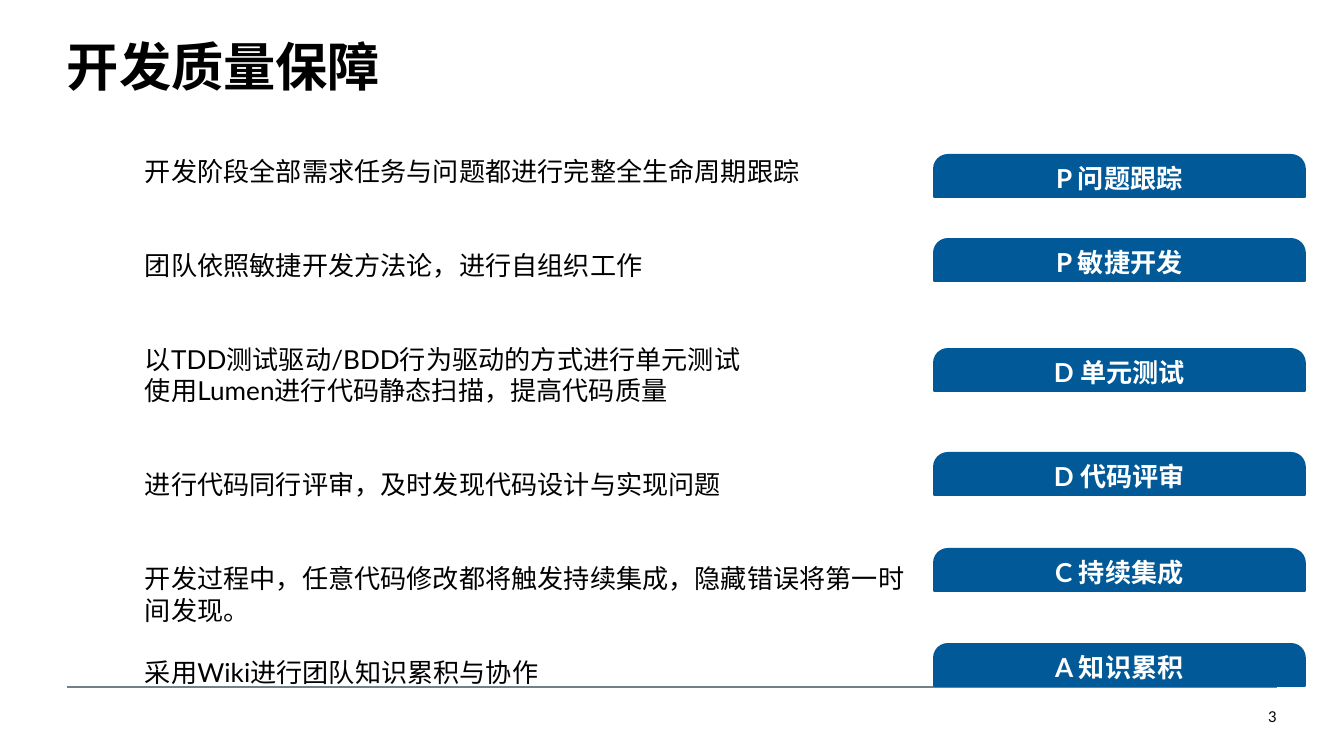
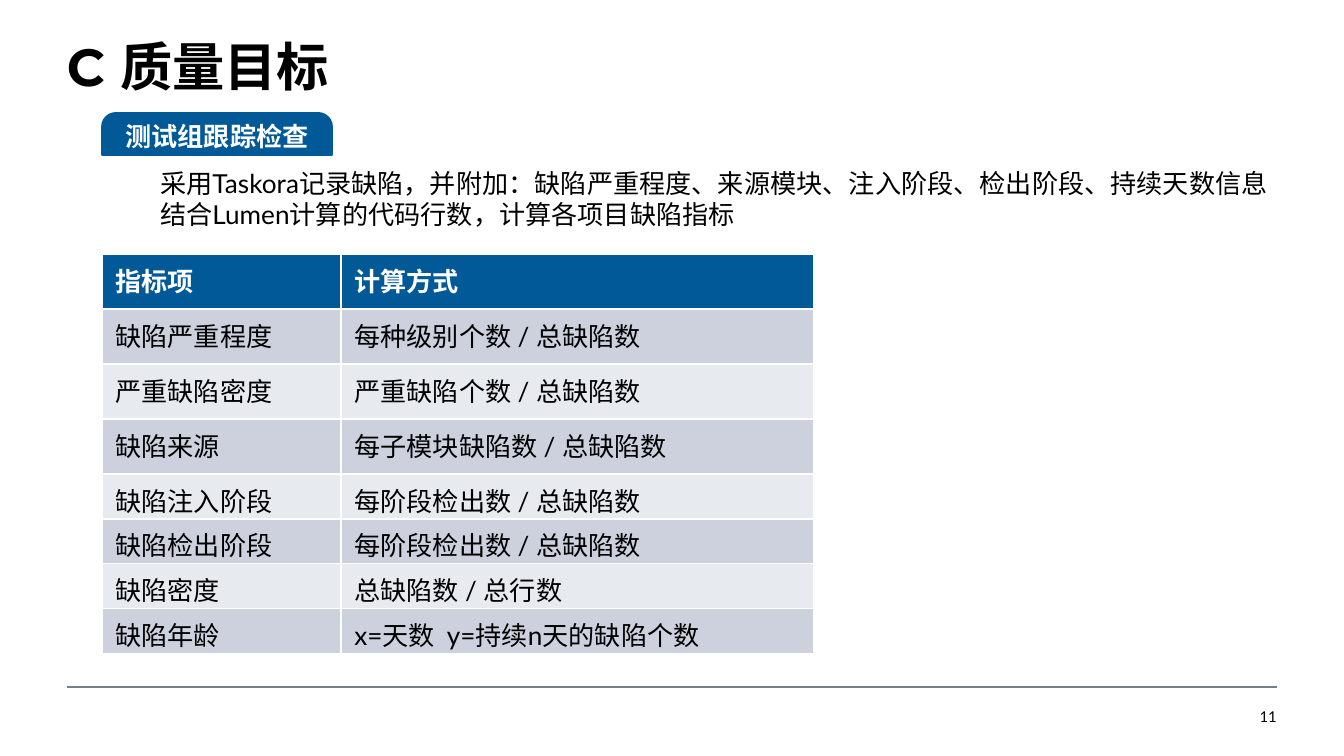
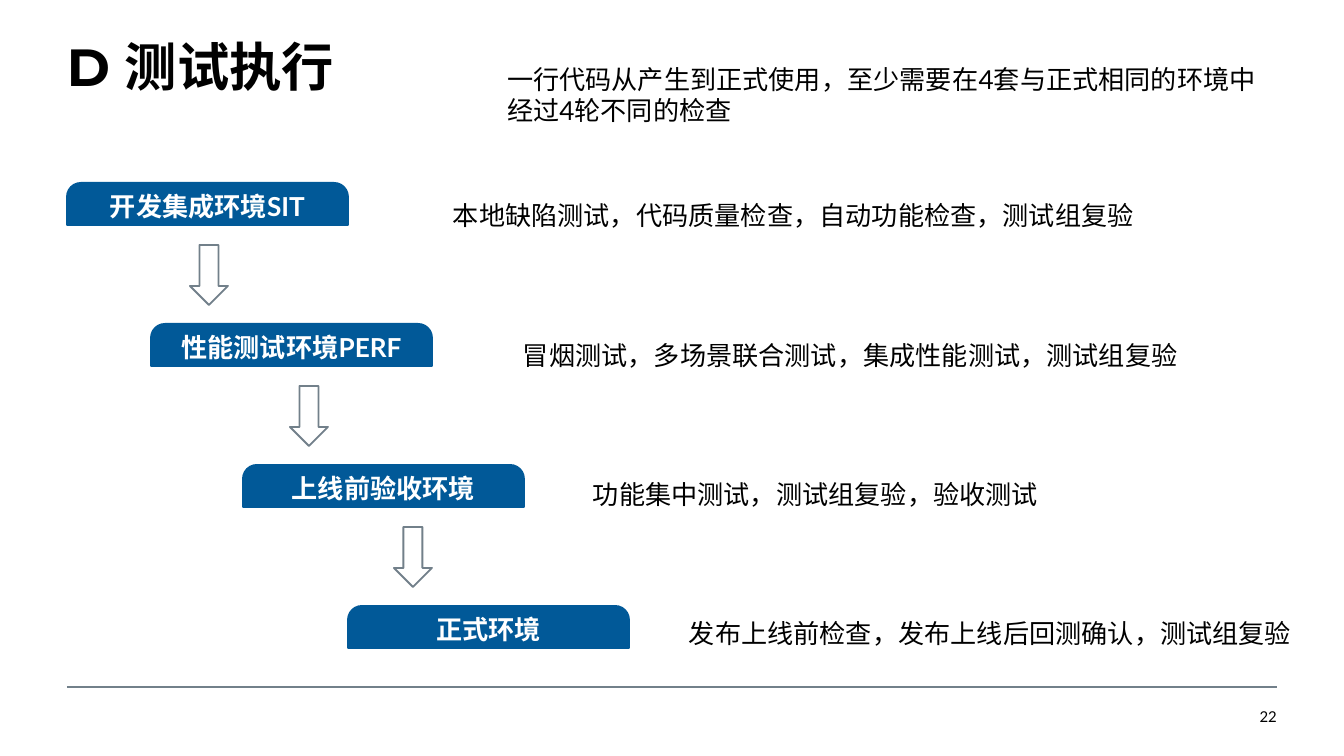
from lxml.etree import SubElement
from pptx import Presentation
from pptx.dml.color import RGBColor
from pptx.enum.shapes import MSO_CONNECTOR, MSO_SHAPE
from pptx.enum.text import MSO_ANCHOR as ANCHOR, MSO_AUTO_SIZE as AUTOSIZE, PP_ALIGN as ALIGN
from pptx.oxml.ns import qn
from pptx.util import Emu, Pt

SCALE = 914400 / 134.4
COLORS = {
    "ink": "000000",
    "paper": "FFFFFF",
    "brand": "015998",
    "rule": "72808A",
    "band_dark": "CCD1DD",
    "band_light": "E7EAEF",
}
FONT, DISPLAY_FONT = "Lato", "Montserrat"
TEXT_SIZE, LINE_HEIGHT = 14, 16.8
TAG_HEIGHT = 42

PRACTICES = [
    (0, "开发阶段全部需求任务与问题都进行完整全生命周期跟踪"),
    (2, "团队依照敏捷开发方法论，进行自组织工作"),
    (2, "以TDD测试驱动/BDD行为驱动的方式进行单元测试"),
    (0, "使用Lumen进行代码静态扫描，提高代码质量"),
    (2, "进行代码同行评审，及时发现代码设计与实现问题"),
    (2, "开发过程中，任意代码修改都将触发持续集成，隐藏错误将第一时间发现。"),
    (1, "采用Wiki进行团队知识累积与协作"),
]
PRACTICE_TAGS = [
    (155, "P 问题跟踪"),
    (239, "P 敏捷开发"),
    (349, "D 单元测试"),
    (453, "D 代码评审"),
    (549, "C 持续集成"),
    (644, "A 知识累积"),
]
TRACKING = [
    (0, "采用Taskora记录缺陷，并附加：缺陷严重程度、来源模块、注入阶段、检出阶段、持续天数信息"),
    (0, "结合Lumen计算的代码行数，计算各项目缺陷指标"),
]
METRICS = [
    ("指标项", "计算方式"),
    ("缺陷严重程度", "每种级别个数 / 总缺陷数"),
    ("严重缺陷密度", "严重缺陷个数 / 总缺陷数"),
    ("缺陷来源", "每子模块缺陷数 / 总缺陷数"),
    ("缺陷注入阶段", "每阶段检出数 / 总缺陷数"),
    ("缺陷检出阶段", "每阶段检出数 / 总缺陷数"),
    ("缺陷密度", "总缺陷数 / 总行数"),
    ("缺陷年龄", "x=天数  y=持续n天的缺陷个数"),
]
METRIC_COLUMNS = [239, 473]
METRIC_ROWS = [55] * 4 + [44] * 4
ENVIRONMENT_INTRO = [
    (0, "一行代码从产生到正式使用，至少需要在4套与正式相同的环境中"),
    (0, "经过4轮不同的检查"),
]
ENVIRONMENTS = [
    (67, "开发集成环境SIT", (453, 199, 806), "本地缺陷测试，代码质量检查，自动功能检查，测试组复验"),
    (151, "性能测试环境PERF", (523, 339, 780), "冒烟测试，多场景联合测试，集成性能测试，测试组复验"),
    (243, "上线前验收环境", (593, 478, 449), "功能集中测试，测试组复验，验收测试"),
    (348, "正式环境", (689, 617, 608), "发布上线前检查，发布上线后回测确认，测试组复验"),
]
STAGE_TOP, STAGE_STEP = 183, 141
ARROW_LEFTS = [190, 290, 394]


def px(length):
    return Emu(round(length * SCALE))


def box(*lengths):
    return [px(length) for length in lengths]


def color(name):
    return RGBColor.from_string(COLORS[name])


def place(shape, *lengths):
    shape.left, shape.top, shape.width, shape.height = box(*lengths)


def write(paragraph, text, size=TEXT_SIZE, ink="ink", bold=False, font=FONT, asian=None):
    run = paragraph.add_run()
    run.text = text
    run.font.size = Pt(size)
    run.font.bold = bold
    run.font.color.rgb = color(ink)
    run.font.name = font
    if asian:
        SubElement(run.font._element, qn("a:ea")).set("typeface", asian)


def set_frame(frame, inset=0, anchor=ANCHOR.TOP, wrap=True):
    frame.auto_size = AUTOSIZE.NONE
    frame.word_wrap = wrap
    frame.vertical_anchor = anchor
    frame.margin_left = frame.margin_right = px(inset)
    frame.margin_top = frame.margin_bottom = px(inset)


def add_footer(slide, number):
    rule = slide.shapes.add_connector(MSO_CONNECTOR.STRAIGHT, *box(67, 687, 1277, 687))
    rule.line.color.rgb = color("rule")
    rule.line.width = Pt(0.75)
    SubElement(rule._element.spPr, qn("a:effectLst"))
    page = slide.shapes.add_textbox(*box(1259, 708, 18, 18)).text_frame
    set_frame(page, wrap=False)
    page.paragraphs[0].alignment = ALIGN.RIGHT
    write(page.paragraphs[0], str(number), size=8, asian=FONT)


def add_slide(deck, number, title_runs):
    slide = deck.slides.add_slide(deck.slide_layouts[1])
    title = slide.shapes.title
    place(title, 67, 38, 1210, 117)
    set_frame(title.text_frame)
    heading = title.text_frame.paragraphs[0]
    heading.alignment = ALIGN.LEFT
    heading.line_spacing = 0.96
    for text, font in title_runs:
        write(heading, text, size=28, bold=True, font=font, asian=FONT)
    add_footer(slide, number)
    return slide


def fill_body(slide, lines, *position):
    body = slide.placeholders[1]
    place(body, *position)
    frame = body.text_frame
    set_frame(frame)
    for index, (gap_lines, text) in enumerate(lines):
        paragraph = frame.add_paragraph() if index else frame.paragraphs[0]
        paragraph.space_before = Pt(gap_lines * LINE_HEIGHT)
        properties = paragraph._p.get_or_add_pPr()
        properties.set("marL", "0")
        properties.set("indent", "0")
        SubElement(properties, qn("a:buNone"))
        write(paragraph, text, asian=FONT)


def add_note(slide, text, left, top, width):
    frame = slide.shapes.add_textbox(*box(left, top, width, 32)).text_frame
    set_frame(frame)
    write(frame.paragraphs[0], text, asian=FONT)


def add_tag(slide, text, left, top, width):
    tag = slide.shapes.add_shape(MSO_SHAPE.ROUND_2_SAME_RECTANGLE, *box(left, top, width, TAG_HEIGHT))
    tag.adjustments[0] = 0.33
    tag.adjustments[1] = 0
    tag.shadow.inherit = False
    tag.fill.solid()
    tag.fill.fore_color.rgb = color("brand")
    tag.line.color.rgb = color("brand")
    tag.line.width = Pt(1)
    set_frame(tag.text_frame, inset=5, anchor=ANCHOR.MIDDLE)
    label = tag.text_frame.paragraphs[0]
    label.alignment = ALIGN.CENTER
    write(label, text, ink="paper", bold=True)


def add_down_arrow(slide, left, top):
    arrow = slide.shapes.add_shape(MSO_SHAPE.DOWN_ARROW, *box(left, top, 38, 60))
    arrow.shadow.inherit = False
    arrow.fill.background()
    arrow.line.color.rgb = color("rule")
    arrow.line.width = Pt(1)


def add_metrics(slide, left, top):
    size = box(left, top, sum(METRIC_COLUMNS), sum(METRIC_ROWS))
    table = slide.shapes.add_table(len(METRICS), len(METRIC_COLUMNS), *size).table
    for column, width in zip(table.columns, METRIC_COLUMNS):
        column.width = px(width)
    for index, (row, height, texts) in enumerate(zip(table.rows, METRIC_ROWS, METRICS)):
        row.height = px(height)
        header = index == 0
        band = "brand" if header else "band_dark" if index % 2 else "band_light"
        for cell, text in zip(row.cells, texts):
            cell.fill.solid()
            cell.fill.fore_color.rgb = color(band)
            cell.margin_bottom = 0
            write(cell.text_frame.paragraphs[0], text, ink="paper" if header else "ink", bold=header)


def build_assurance(deck):
    slide = add_slide(deck, 3, [("开发质量保障", FONT)])
    fill_body(slide, PRACTICES, 145, 155, 762, 665)
    for top, text in PRACTICE_TAGS:
        add_tag(slide, text, 934, top, 371)


def build_goals(deck):
    slide = add_slide(deck, 11, [("C 质量目标", DISPLAY_FONT)])
    fill_body(slide, TRACKING, 160, 167, 1164, 63)
    add_metrics(slide, 102, 254)
    add_tag(slide, "测试组跟踪检查", 102, 113, 230)


def build_execution(deck):
    slide = add_slide(deck, 22, [("D ", DISPLAY_FONT), ("测试执行", FONT)])
    fill_body(slide, ENVIRONMENT_INTRO, 507, 63, 753, 63)
    for stage, (left, name, note_place, checks) in enumerate(ENVIRONMENTS):
        add_tag(slide, name, left, STAGE_TOP + stage * STAGE_STEP, 281)
        add_note(slide, checks, *note_place)
    for stage, left in enumerate(ARROW_LEFTS):
        add_down_arrow(slide, left, STAGE_TOP + 62 + stage * STAGE_STEP)


def main():
    deck = Presentation()
    deck.slide_width, deck.slide_height = box(1344, 756)
    build_assurance(deck)
    build_goals(deck)
    build_execution(deck)
    deck.save("out.pptx")


main()
